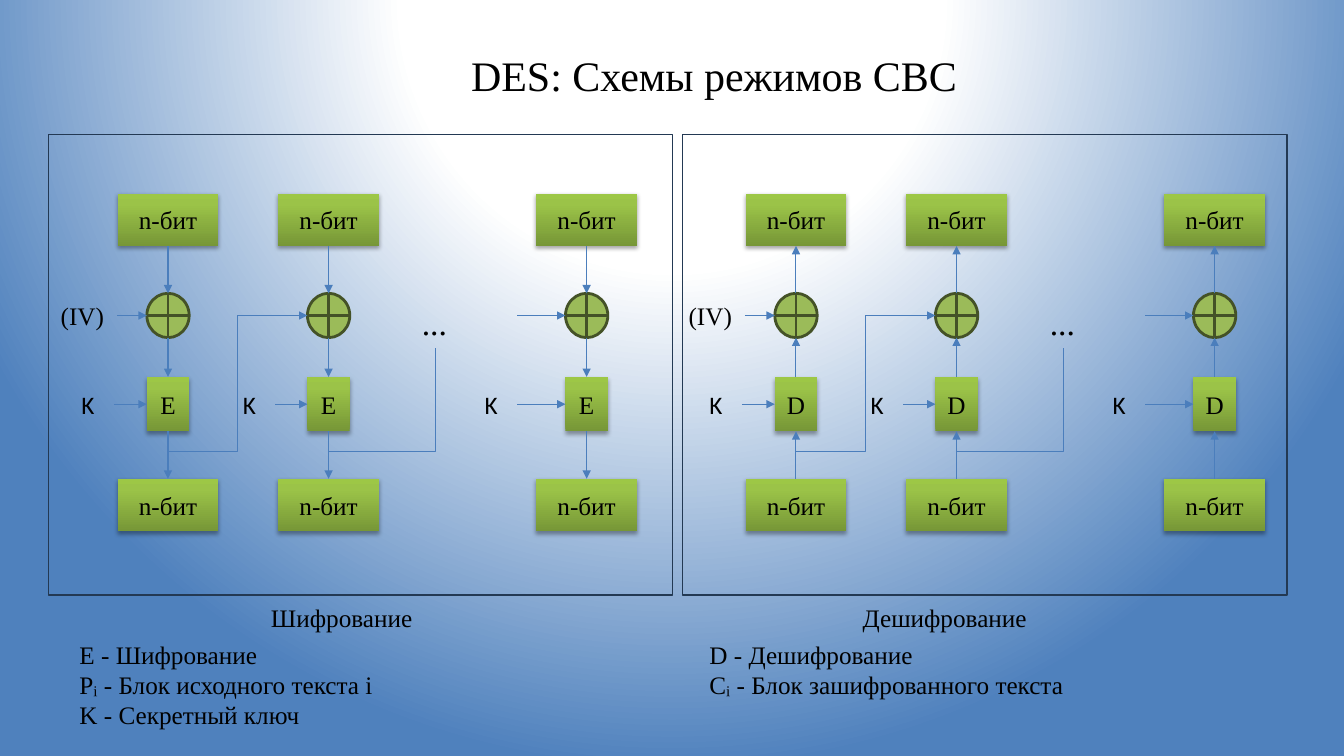
from dataclasses import dataclass

from pptx import Presentation
from pptx.dml.color import RGBColor as RGB
from pptx.enum.shapes import MSO_CONNECTOR as Link, MSO_SHAPE as Form
from pptx.enum.text import MSO_ANCHOR as Anchor, PP_ALIGN as Align
from pptx.oxml import parse_xml as to_xml
from pptx.oxml.ns import nsdecls, qn
from pptx.util import Inches, Pt


@dataclass(frozen=True)
class Theme:
    """Colours, fonts and type sizes of the slide."""
    ink: str = "000000"
    wire: str = "4B7EBC"
    frame: str = "233953"
    xor: str = "9BBB59"
    rim: str = "445227"
    green: tuple = ((0, "779737"), (80, "9BC348"), (100, "9DC746"))
    sky: tuple = ((0, "FFFFFF"), (35, "FFFFFF"), (100, "4F81BD"))
    serif: str = "Times New Roman"
    sans: str = "Calibri"
    head: int = 30
    dots: int = 24
    body: int = 18


LOOK = Theme()
WIDE, HIGH = Inches(13.333), Inches(7.5)
COLS = 40
CELL = WIDE / COLS
MIDS = (5, 9.78, 17.46)
KEYS = (2.13, 6.93, 14.13)
SHIFT = 18.69
TOP, XOR, CODE, END = 5.76, 8.73, 11.22, 14.25
BOX, UNIT, RING = (3, 1.56), (1.26, 1.62), (1.26, 1.32)
FORK, XMID, KMID = 13.44, 9.39, 12.03


def grid(*cells):
    """Turn grid cells into slide lengths."""
    return [round(cell * CELL) for cell in cells]


def grade(fill, host, stops, mode):
    """Give a fill a gradient with the stops and direction given."""
    fill.gradient()
    marks = "".join(
        f'<a:gs pos="{pos * 1000}"><a:srgbClr val="{tone}"/></a:gs>'
        for pos, tone in stops)
    old = next(host.iter(qn("a:gradFill")))
    new = to_xml(f'<a:gradFill {nsdecls("a")} rotWithShape="1">'
                 f'<a:gsLst>{marks}</a:gsLst>{mode}</a:gradFill>')
    old.getparent().replace(old, new)


def write(shape, text, size=LOOK.body, font=LOOK.serif, center=True):
    """Put styled text lines into a shape."""
    frame = shape.text_frame
    frame.word_wrap = True
    frame.text = text
    if center:
        frame.margin_left = frame.margin_right = 0
        frame.vertical_anchor = Anchor.MIDDLE
    for para in frame.paragraphs:
        para.alignment = Align.CENTER if center else Align.LEFT
        para.font.name = font
        para.font.size = Pt(size)
        para.font.color.rgb = RGB.from_string(LOOK.ink)


def label(slide, area, text, **style):
    """Add a text box."""
    write(slide.shapes.add_textbox(*grid(*area)), text, **style)


def form(slide, kind, area, edge=None, width=1):
    """Add an unfilled shape with an optional edge."""
    shape = slide.shapes.add_shape(kind, *grid(*area))
    shape.shadow.inherit = False
    shape.fill.background()
    if edge:
        shape.line.color.rgb = RGB.from_string(edge)
        shape.line.width = Pt(width)
    else:
        shape.line.fill.background()
    return shape


def block(slide, mid, top, size, text):
    """Add a green block with a soft shadow."""
    shape = form(slide, Form.RECTANGLE, (mid - size[0] / 2, top, *size))
    grade(shape.fill, shape._element, LOOK.green,
          '<a:lin ang="16200000" scaled="0"/>')
    shade = to_xml(
        f'<a:outerShdw {nsdecls("a")} blurRad="{Pt(3.1)}" dist="{Pt(1.8)}" '
        'dir="5400000" rotWithShape="0"><a:srgbClr val="000000">'
        '<a:alpha val="35000"/></a:srgbClr></a:outerShdw>')
    shape._element.spPr.find(qn("a:effectLst")).append(shade)
    write(shape, text)


def ring(slide, mid):
    """Add an XOR sign."""
    area = (mid - RING[0] / 2, XOR, *RING)
    shape = form(slide, Form.FLOWCHART_OR, area, LOOK.rim, 2)
    shape.fill.solid()
    shape.fill.fore_color.rgb = RGB.from_string(LOOK.xor)


def wire(slide, start, stop, kind=Link.STRAIGHT, tip=True, preset=None):
    """Add a connector, by default with an arrow tip."""
    link = slide.shapes.add_connector(kind, *grid(*start, *stop))
    link.line.color.rgb = RGB.from_string(LOOK.wire)
    link.line.width = Pt(0.75)
    props = link._element.spPr
    if tip:
        props.find(qn("a:ln")).append(
            to_xml(f'<a:tailEnd {nsdecls("a")} type="triangle"/>'))
    if preset:
        props.find(qn("a:prstGeom")).set("prst", preset)
    props.append(to_xml(f'<a:effectLst {nsdecls("a")}/>'))


def stage(slide, mid, key, code, down):
    """Draw one column of the cipher chain."""
    block(slide, mid, TOP, BOX, "n-бит")
    block(slide, mid, CODE, UNIT, code)
    block(slide, mid, END, BOX, "n-бит")
    ring(slide, mid)
    gaps = ((TOP + BOX[1], XOR), (XOR + RING[1], CODE), (CODE + UNIT[1], END))
    for gap in gaps:
        start, stop = gap if down else gap[::-1]
        wire(slide, (mid, start), (mid, stop))
    label(slide, (key, 11.43, 1.26, 1.2), "K", font=LOOK.sans, center=False)
    wire(slide, (key + 1.26, KMID), (mid - UNIT[0] / 2, KMID))


def chain(slide, left, code, down):
    """Draw a whole chain of stages."""
    mids = [left + mid for mid in MIDS]
    for mid, key in zip(mids, KEYS):
        stage(slide, mid, left + key, code, down)
    edge = RING[0] / 2
    for start, mid in ((3.48, mids[0]), (15.39, mids[2])):
        wire(slide, (left + start, XMID), (mid - edge, XMID))
    wire(slide, (mids[0], FORK), (mids[1] - edge, XMID), Link.ELBOW)
    wire(slide, (mids[1], FORK), (left + 12.95, 10.35), Link.ELBOW,
         tip=False, preset="bentConnector2")
    label(slide, (left + 1.43, 8.79, 2.04, 1.2), "(IV)")
    label(slide, (left + 12.24, 8.85, 1.38, 1.5), "...", size=LOOK.dots)


def panel(slide, left, width):
    """Draw the frame around a chain."""
    form(slide, Form.RECTANGLE, (left, 4, width, 13.71), LOOK.frame)


def main():
    """Build the slide and save it."""
    deck = Presentation()
    deck.slide_width, deck.slide_height = WIDE, HIGH
    slide = deck.slides.add_slide(deck.slide_layouts[6])
    grade(slide.background.fill, slide._element, LOOK.sky,
          '<a:path path="circle"><a:fillToRect l="50000" t="-80000" '
          'r="50000" b="180000"/></a:path>')
    label(slide, (7.26, 1.44, 28, 1.56), "DES: Схемы режимов CBC",
          size=LOOK.head)
    chain(slide, SHIFT, "D", down=False)
    chain(slide, 0, "E", down=True)
    panel(slide, 1.44, 18.57)
    panel(slide, 20.31, 18)
    notes = (
        ((7.77, 17.79, 5.25, 1.2), "Шифрование"),
        ((25.38, 17.79, 6.12, 1.2), "Дешифрование"),
        ((2.07, 18.87, 10.38, 3.03),
         "E - Шифрование\nPᵢ - Блок исходного текста i\n"
         "K - Секретный ключ"),
        ((20.82, 18.87, 14, 2.13),
         "D - Дешифрование\nCᵢ - Блок зашифрованного текста"),
    )
    for area, text in notes:
        label(slide, area, text, center=False)
    deck.save("out.pptx")


if __name__ == "__main__":
    main()
